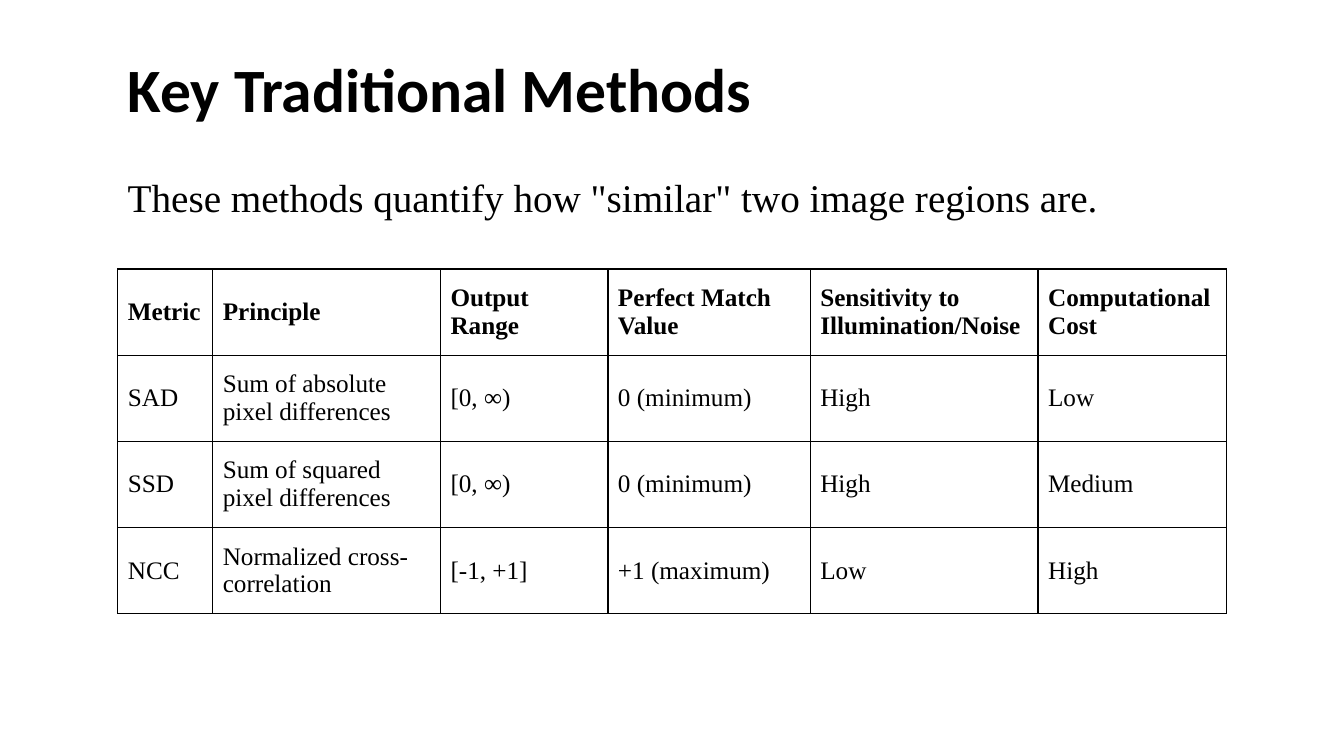
import dataclasses

import pptx
import pptx.dml.color
import pptx.enum.text
import pptx.oxml
import pptx.oxml.ns
import pptx.util

Cm = pptx.util.Cm
Pt = pptx.util.Pt
MIDDLE = pptx.enum.text.MSO_ANCHOR.MIDDLE
TOP = pptx.enum.text.MSO_ANCHOR.TOP


@dataclasses.dataclass(frozen=True)
class Theme:
    ink: str = "000000"
    heading_font: str = "Calibri"
    body_font: str = "Times New Roman"
    title_size: int = 44
    lead_size: int = 28
    table_size: int = 18
    border_width: int = 1


THEME = Theme()

# Shared left edge and width of title, lead sentence and table
LEFT, WIDTH = Cm(2.97), Cm(27.94)

COLUMN_WIDTHS = [2.39, 5.74, 4.22, 5.1, 5.74, 4.75]
ROW_HEIGHT = 2.17
METHODS = [
    ["Metric", "Principle", "Output Range", "Perfect Match Value",
     "Sensitivity to Illumination/Noise", "Computational Cost"],
    ["SAD", "Sum of absolute pixel differences", "[0, ∞)", "0 (minimum)", "High", "Low"],
    ["SSD", "Sum of squared pixel differences", "[0, ∞)", "0 (minimum)", "High", "Medium"],
    ["NCC", "Normalized cross-correlation", "[-1, +1]", "+1 (maximum)", "Low", "High"],
]


def write_text(frame, text, *, font=THEME.body_font, size, bold=False,
               anchor=TOP, line_spacing=None, space_before=None):
    """Put one formatted paragraph into a text frame."""
    frame.word_wrap = True
    frame.vertical_anchor = anchor
    para = frame.paragraphs[0]
    para.alignment = pptx.enum.text.PP_ALIGN.LEFT
    para.line_spacing = line_spacing
    para.space_before = space_before
    span = para.add_run()
    span.text = text
    span.font.name = font
    span.font.size = Pt(size)
    span.font.bold = bold
    span.font.color.rgb = pptx.dml.color.RGBColor.from_string(THEME.ink)


def add_title(page, text):
    box = page.shapes.title
    box.left, box.top, box.width, box.height = LEFT, Cm(1.35), WIDTH, Cm(1.96)
    write_text(box.text_frame, text, font=THEME.heading_font, size=THEME.title_size,
               bold=True, anchor=MIDDLE, line_spacing=0.9)


def add_lead(page, text):
    box = page.shapes.add_textbox(LEFT, Cm(4.37), WIDTH, Cm(1.8))
    write_text(box.text_frame, text, size=THEME.lead_size,
               line_spacing=0.9, space_before=Pt(10))


def add_borders(cell):
    """Draw a line on all four sides; borders come before the fill in the XML."""
    properties = cell._tc.get_or_add_tcPr()
    for position, side in enumerate(("lnL", "lnR", "lnT", "lnB")):
        line = pptx.oxml.parse_xml(
            f'<a:{side} {pptx.oxml.ns.nsdecls("a")} w="{Pt(THEME.border_width)}">'
            f'<a:solidFill><a:srgbClr val="{THEME.ink}"/></a:solidFill></a:{side}>')
        properties.insert(position, line)


def add_methods_table(page, rows):
    frame = page.shapes.add_table(len(rows), len(COLUMN_WIDTHS), LEFT, Cm(6.78),
                                  WIDTH, Cm(ROW_HEIGHT * len(rows)))
    table = frame.table
    table.first_row = True
    table.horz_banding = False
    for column, width in zip(table.columns, COLUMN_WIDTHS):
        column.width = Cm(width)
    for row_number, values in enumerate(rows):
        table.rows[row_number].height = Cm(ROW_HEIGHT)
        for column_number, value in enumerate(values):
            cell = table.cell(row_number, column_number)
            cell.vertical_anchor = MIDDLE
            cell.fill.background()
            add_borders(cell)
            write_text(cell.text_frame, value, size=THEME.table_size,
                       bold=row_number == 0, anchor=None)


def main():
    deck = pptx.Presentation()
    deck.slide_width, deck.slide_height = Cm(33.87), Cm(19.05)
    title_only = deck.slide_layouts.get_by_name("Title Only")
    page = deck.slides.add_slide(title_only)

    add_title(page, "Key Traditional Methods")
    add_lead(page, 'These methods quantify how "similar" two image regions are.')
    add_methods_table(page, METHODS)

    deck.save("out.pptx")


if __name__ == "__main__":
    main()
